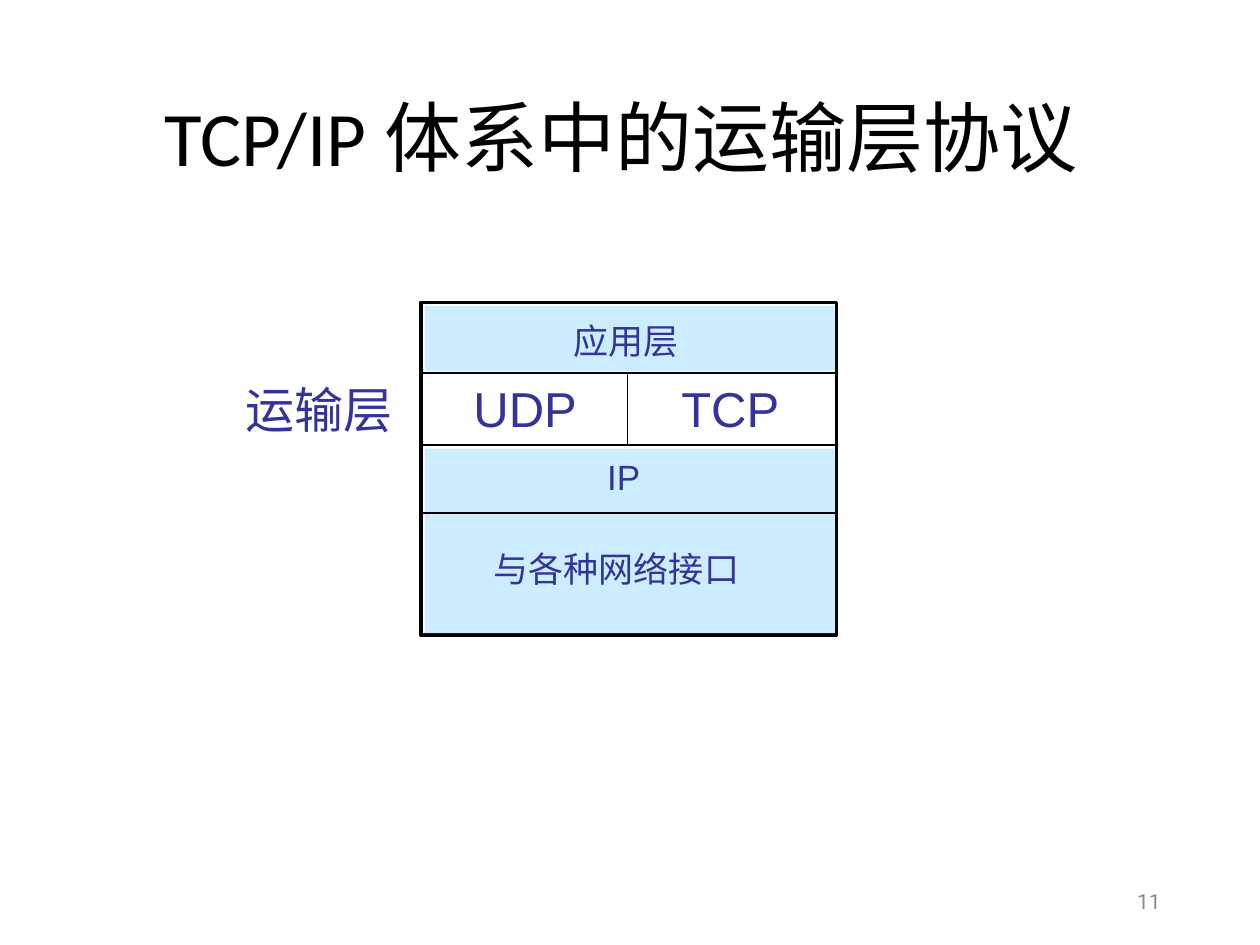
from dataclasses import dataclass

from lxml import etree
from pptx import Presentation
from pptx.dml.color import RGBColor
from pptx.enum.shapes import MSO_CONNECTOR, MSO_SHAPE
from pptx.enum.text import MSO_ANCHOR, PP_ALIGN
from pptx.oxml.ns import qn
from pptx.util import Inches, Pt

RECTANGLE, STRAIGHT = MSO_SHAPE.RECTANGLE, MSO_CONNECTOR.STRAIGHT
MIDDLE = MSO_ANCHOR.MIDDLE
LEFT, CENTER, RIGHT = PP_ALIGN.LEFT, PP_ALIGN.CENTER, PP_ALIGN.RIGHT


@dataclass(frozen=True)
class Theme:
    title: str = "000000"
    border: str = "000000"
    label: str = "333399"
    layer: str = "CCECFF"
    paper: str = "FFFFFF"
    number: str = "898989"
    title_size: int = 44
    protocol_size: int = 28
    layer_size: int = 20
    number_size: int = 12


THEME = Theme()
TITLE = "TCP/IP 体系中的运输层协议 "

# Protocol stack: edges of its columns and rows, in inches
COLUMNS = (3.34, 4.98, 6.64)
ROWS = (2.4, 2.96, 3.53, 4.07, 5.04)
INSET = 0.03
SHADED_ROWS = ((0, 1), (2, 4))  # first and last row edge of each tinted block

# text, left, top, width, height, size, font, colour, alignment
LABELS = [
    ("TCP", 5.31, 2.96, 1.03, 0.56, THEME.protocol_size, "Arial", THEME.label, LEFT),
    ("UDP", 3.66, 2.96, 1.07, 0.56, THEME.protocol_size, "Arial", THEME.label, LEFT),
    ("IP", 4.72, 3.57, 0.5, 0.43, THEME.layer_size, "Arial", THEME.label, LEFT),
    ("应用层", 4.45, 2.49, 1.1, 0.43, THEME.layer_size, "Arial", THEME.label, LEFT),
    ("与各种网络接口", 3.82, 4.3, 2.52, 0.43, THEME.layer_size, "Arial", THEME.label, LEFT),
    ("运输层", 1.85, 2.96, 1.42, 0.57, THEME.protocol_size, "Roboto", THEME.label, LEFT),
    ("11", 7.06, 6.95, 2.25, 0.4, THEME.number_size, "Roboto", THEME.number, RIGHT),
]


def style(paragraph, size, font, colour, alignment):
    paragraph.alignment = alignment
    paragraph.font.size = Pt(size)
    paragraph.font.name = font
    paragraph.font.color.rgb = RGBColor.from_string(colour)


def add_block(slide, left, top, right, bottom, fill, border=None):
    block = slide.shapes.add_shape(
        RECTANGLE, *map(Inches, (left, top, right - left, bottom - top)))
    block.shadow.inherit = False
    block.fill.solid()
    block.fill.fore_color.rgb = RGBColor.from_string(fill)
    if border:
        block.line.color.rgb = RGBColor.from_string(border)
        block.line.width = Pt(2)
    else:
        block.line.fill.background()


def add_divider(slide, x1, y1, x2, y2):
    divider = slide.shapes.add_connector(STRAIGHT, *map(Inches, (x1, y1, x2, y2)))
    divider.line.color.rgb = RGBColor.from_string(THEME.border)
    divider.line.width = Pt(1)
    etree.SubElement(divider._element.spPr, qn("a:effectLst"))


def add_label(slide, text, left, top, width, height, *look):
    frame = slide.shapes.add_textbox(
        *map(Inches, (left, top, width, height))).text_frame
    frame.word_wrap = True
    frame.vertical_anchor = MIDDLE
    frame.text = text
    style(frame.paragraphs[0], *look)


def main():
    deck = Presentation()
    deck.slide_width, deck.slide_height = Inches(10), Inches(7.5)
    slide = deck.slides.add_slide(deck.slide_layouts[5])

    title = slide.shapes.title
    title.left, title.top, title.width, title.height = map(
        Inches, (0.69, 0.4, 8.62, 1.45))
    title.text_frame.text = TITLE
    title.text_frame.vertical_anchor = MIDDLE
    heading = title.text_frame.paragraphs[0]
    heading.line_spacing = 0.9
    style(heading, THEME.title_size, "Calibri", THEME.title, CENTER)

    left, middle, right = COLUMNS
    add_block(slide, left, ROWS[0], right, ROWS[-1], THEME.paper, THEME.border)
    for first, last in SHADED_ROWS:
        add_block(slide, left + INSET, ROWS[first] + INSET,
                  right - INSET / 2, ROWS[last] - INSET / 2, THEME.layer)
    for y in ROWS[1:-1]:
        add_divider(slide, left, y, right, y)
    add_divider(slide, middle, ROWS[1], middle, ROWS[2])

    for label in LABELS:
        add_label(slide, *label)
    deck.save("out.pptx")


if __name__ == "__main__":
    main()
